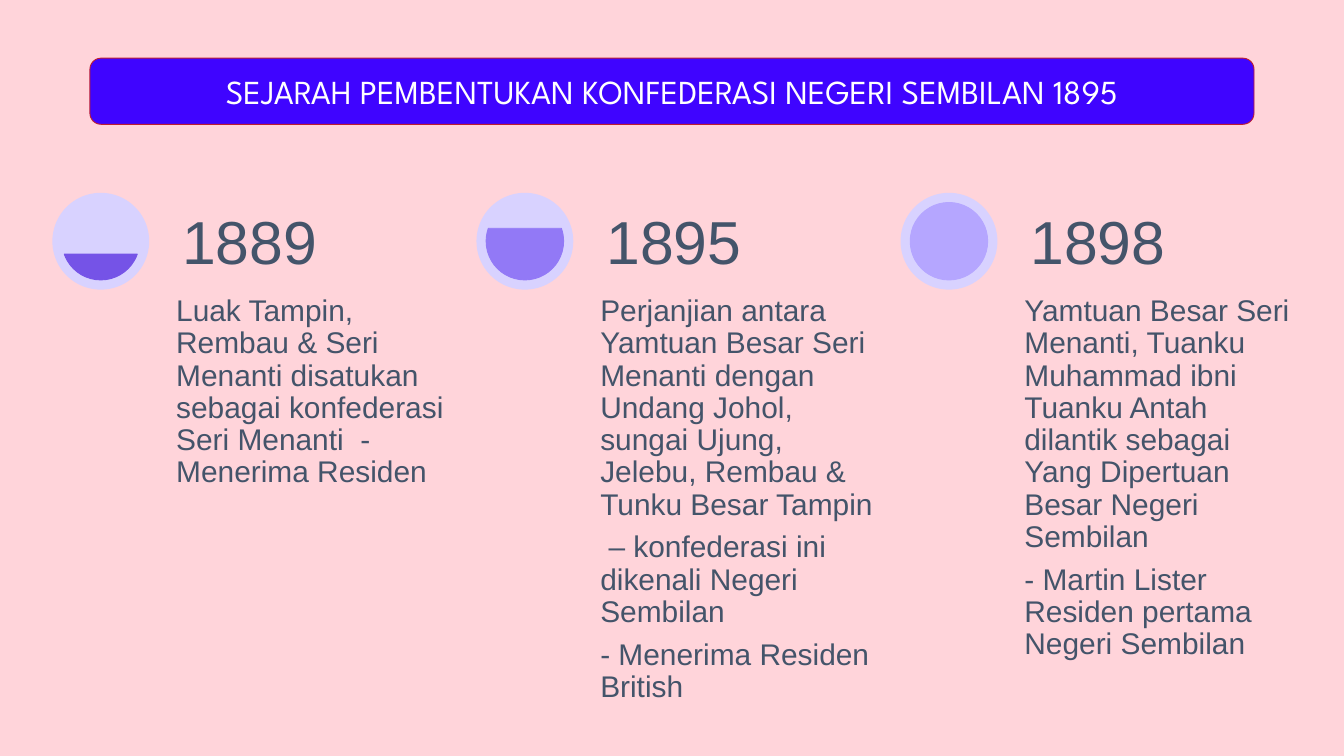
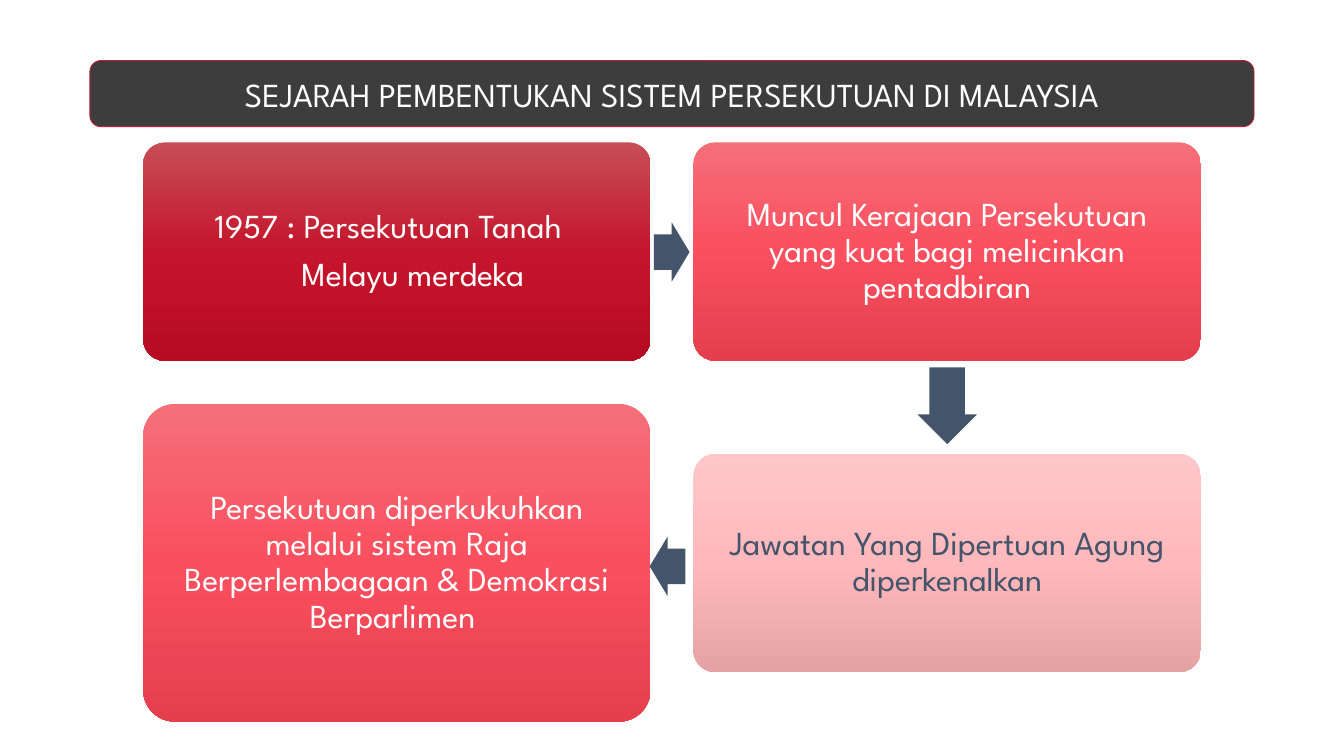
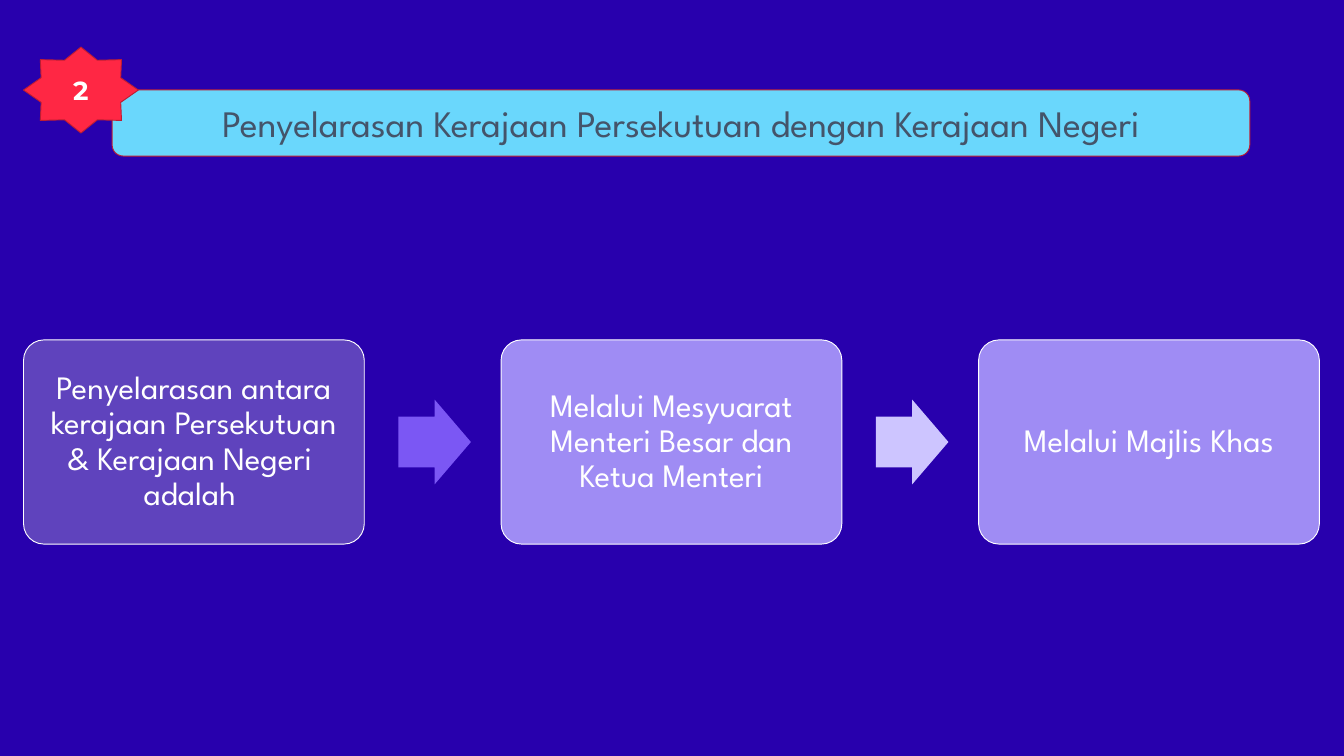
from copy import deepcopy
from math import asin, degrees

from pptx import Presentation
from pptx.dml.color import RGBColor
from pptx.enum.shapes import MSO_SHAPE
from pptx.enum.text import MSO_ANCHOR, PP_ALIGN
from pptx.oxml.ns import qn
from pptx.util import Cm, Pt

WHITE, SLATE, CRIMSON = "FFFFFF", "44546A", "BD1D32"
LILAC = "D8D2FF"
DARK_RED = ["C74E56", "C5152C", "B60B22"]
RED = ["F56F79", "FA4F5F", "E53F4E"]
PINK = ["FFC6C9", "FFB9BC", "E5A2A5"]
HEADING, BODY, NUMBER = "League Spartan", "Arial", "Montserrat"

# year, share of the circle filled, fill colour, paragraphs
YEARS = [
    ("1889", 1 / 3, "7553E7", [
        "Luak Tampin, Rembau & Seri Menanti disatukan sebagai konfederasi "
        "Seri Menanti  - Menerima Residen"]),
    ("1895", 2 / 3, "9279F6", [
        "Perjanjian antara Yamtuan Besar Seri Menanti dengan Undang Johol, "
        "sungai Ujung, Jelebu, Rembau & Tunku Besar Tampin",
        " – konfederasi ini dikenali Negeri Sembilan",
        "- Menerima Residen British"]),
    ("1898", 1, "B5A6FF", [
        "Yamtuan Besar Seri Menanti, Tuanku Muhammad ibni Tuanku Antah "
        "dilantik sebagai Yang Dipertuan Besar Negeri Sembilan",
        "- Martin Lister Residen pertama Negeri Sembilan"]),
]

# column, top, height, fill, text colour, paragraphs
FEDERATION_STEPS = [
    (0, 5.38, 8.26, DARK_RED, WHITE, ["1957 : Persekutuan Tanah", "Melayu merdeka"]),
    (1, 5.38, 8.26, RED, WHITE,
     ["Muncul Kerajaan Persekutuan yang kuat bagi melicinkan pentadbiran"]),
    (1, 17.15, 8.26, PINK, SLATE, ["Jawatan Yang Dipertuan Agung diperkenalkan"]),
    (0, 15.27, 12.01, RED, WHITE,
     ["Persekutuan diperkukuhkan melalui sistem Raja Berperlembagaan "
      "& Demokrasi Berparlimen "]),
]
# centre x, centre y, length, rotation
FEDERATION_ARROWS = [(25.39, 9.53, 1.35, 0), (35.8, 15.34, 2.9, 90), (25.23, 21.41, 1.35, 180)]

# text, box fill, fill of the arrow that follows
COORDINATION = [
    ("Penyelarasan antara kerajaan Persekutuan & Kerajaan Negeri  adalah ", "5F43BD", "7B57F4"),
    ("Melalui Mesyuarat Menteri Besar dan Ketua Menteri", "9F8CF4", "CDC5FF"),
    ("Melalui Majlis Khas", "9F8CF4", None),
]


def rgb(color):
    return RGBColor.from_string(color)


def add_slide(prs, color):
    s = prs.slides.add_slide(prs.slide_layouts[6])
    s.background.fill.solid()
    s.background.fill.fore_color.rgb = rgb(color)
    return s


def fill_gradient(sp, colors):
    """Vertical gradient with evenly spaced stops."""
    sp.fill.gradient()
    sp.fill.gradient_angle = 270
    stops = sp.element.spPr.find(qn("a:gradFill")).find(qn("a:gsLst"))
    while len(stops) < len(colors):
        stops.insert(1, deepcopy(stops[0]))
    for i, (stop, color) in enumerate(zip(sp.fill.gradient_stops, colors)):
        stop.position = i / (len(colors) - 1)
        stop.color.rgb = rgb(color)


def add_shape(s, kind, x, y, w, h, fill, line=None, adj=()):
    sp = s.shapes.add_shape(kind, Cm(x), Cm(y), Cm(w), Cm(h))
    sp.shadow.inherit = False
    if isinstance(fill, list):
        fill_gradient(sp, fill)
    else:
        sp.fill.solid()
        sp.fill.fore_color.rgb = rgb(fill)
    if line:
        sp.line.color.rgb = rgb(line)
        sp.line.width = Pt(1)
    else:
        sp.line.fill.background()
    for i, value in enumerate(adj):
        sp.adjustments[i] = value
    return sp


def write(sp, paragraphs, size, color, font=HEADING, align=PP_ALIGN.CENTER,
          anchor=MSO_ANCHOR.MIDDLE, inset=None, tight=True, bold=False):
    """Fill a shape with text; tight text has 90% lines and 35% after each paragraph."""
    tf = sp.text_frame
    tf.word_wrap = True
    tf.vertical_anchor = anchor
    if inset is not None:
        tf.margin_left = tf.margin_right = tf.margin_top = tf.margin_bottom = Cm(inset)
    for i, text in enumerate(paragraphs):
        p = tf.add_paragraph() if i else tf.paragraphs[0]
        p.alignment = align
        if tight:
            p.line_spacing = 0.9
            p.space_after = Pt(size * 0.35)
        r = p.add_run()
        r.text = text
        r.font.size, r.font.name, r.font.bold = Pt(size), font, bold
        r.font.color.rgb = rgb(color)
    return tf


def add_title(s, text, y, fill, x=3.4, w=44, size=36, color=WHITE):
    sp = add_shape(s, MSO_SHAPE.ROUNDED_RECTANGLE, x, y, w, 2.5, fill, CRIMSON)
    write(sp, [text], size, color, tight=False)


def add_card(s, x, y, w, h, fill, paragraphs, size, color=WHITE, line=None):
    sp = add_shape(s, MSO_SHAPE.ROUNDED_RECTANGLE, x, y, w, h, fill, line, [0.1])
    return write(sp, paragraphs, size, color, inset=0.38)


def add_arrow(s, cx, cy, w, h, fill, rotation=0):
    sp = add_shape(s, MSO_SHAPE.RIGHT_ARROW, cx - w / 2, cy - h / 2, w, h, fill, adj=[0.6, 0.5])
    sp.rotation = rotation


def add_label(s, x, y, w, h, paragraphs, size, anchor, inset):
    sp = s.shapes.add_textbox(Cm(x), Cm(y), Cm(w), Cm(h))
    write(sp, paragraphs, size, SLATE, BODY, PP_ALIGN.LEFT, anchor, inset)


def add_level(s, x, y, d, share, fill):
    """Circle filled from the bottom up to the given share of its height."""
    add_shape(s, MSO_SHAPE.OVAL, x, y, d, d, LILAC)
    angle = degrees(asin(1 - 2 * share))
    adj = [a * 0.6 for a in (angle % 360, 180 - angle)]
    add_shape(s, MSO_SHAPE.CHORD, x + d * 0.1, y + d * 0.1, d * 0.8, d * 0.8, fill, fill, adj)


def build_years(prs):
    s = add_slide(prs, "FFD4DA")
    d, top, text_w = 3.66, 7.29, 10.85
    for i, (year, share, fill, paragraphs) in enumerate(YEARS):
        x = 1.98 + i * 16.03
        add_level(s, x, top, d, share, fill)
        add_label(s, x + 4.45, top + d, text_w, 15.42, paragraphs, 32, MSO_ANCHOR.TOP, 0.23)
        add_label(s, x + 4.45, top, text_w, d, [year], 65, MSO_ANCHOR.BOTTOM, 0.46)
    add_title(s, "SEJARAH PEMBENTUKAN KONFEDERASI NEGERI SEMBILAN 1895", 2.2, "3F04FF")


def build_federation(prs):
    s = add_slide(prs, WHITE)
    add_title(s, "SEJARAH PEMBENTUKAN SISTEM PERSEKUTUAN DI MALAYSIA", 2.29, "3D3D3D")
    frames = [add_card(s, 5.41 + col * 20.8, y, 19.18, h, fill, paragraphs, 36, color)
              for col, y, h, fill, color, paragraphs in FEDERATION_STEPS]
    # The two lines of the first step are staggered around the centre
    first, second = frames[0].paragraphs
    first._p.get_or_add_pPr().set("marR", str(Cm(0.64)))
    second._p.get_or_add_pPr().set("marL", str(Cm(1.85)))
    for cx, cy, length, rotation in FEDERATION_ARROWS:
        add_arrow(s, cx, cy, length, 2.24, SLATE, rotation)


def build_coordination(prs):
    s = add_slide(prs, "2800AD")
    add_title(s, "Penyelarasan Kerajaan Persekutuan dengan Kerajaan Negeri", 3.4, "6AD7FC",
              x=4.24, w=43, size=40, color=SLATE)
    badge = add_shape(s, MSO_SHAPE.STAR_8_POINT, 0.89, 1.78, 4.34, 3.25, "FF2744", CRIMSON)
    write(badge, ["2"], 28, WHITE, NUMBER, tight=False, bold=True)
    top, w, h = 12.85, 12.88, 7.72
    for i, (text, fill, arrow_fill) in enumerate(COORDINATION):
        x = 0.89 + i * 18.05
        add_card(s, x, top, w, h, fill, [text], 35, line=WHITE)
        if arrow_fill:
            add_arrow(s, x + 15.54, top + h / 2, 2.74, 3.2, arrow_fill)


def main():
    prs = Presentation()
    prs.slide_width, prs.slide_height = Cm(50.8), Cm(28.58)
    build_years(prs)
    build_federation(prs)
    build_coordination(prs)
    prs.save("out.pptx")


if __name__ == "__main__":
    main()
